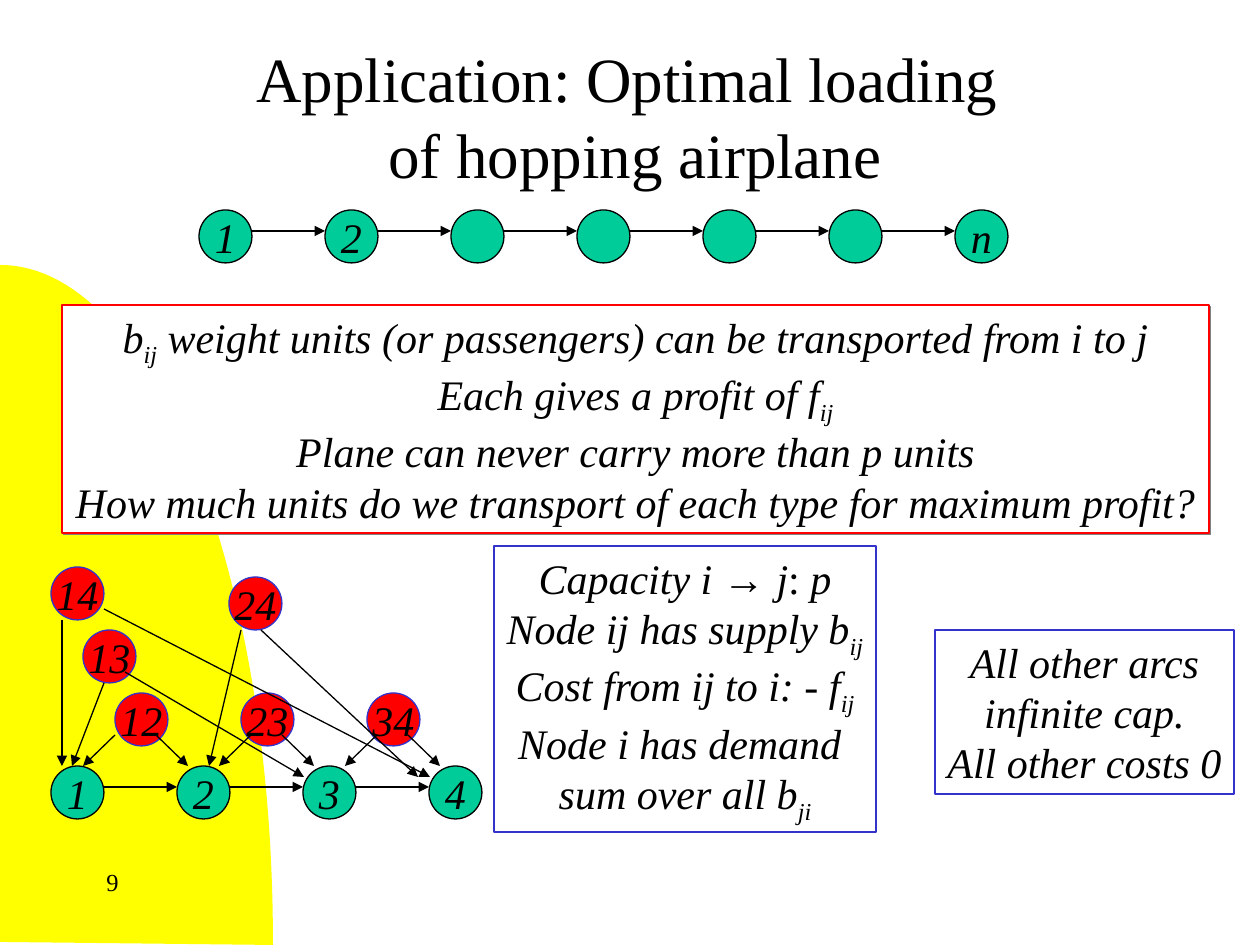
"""Build the slide on optimal loading of a hopping airplane as a flow network."""
from typing import NamedTuple

from lxml import etree
from pptx import Presentation
from pptx.dml.color import RGBColor
from pptx.enum.shapes import MSO_CONNECTOR, MSO_SHAPE
from pptx.enum.text import MSO_ANCHOR, MSO_AUTO_SIZE, PP_ALIGN
from pptx.oxml.ns import qn
from pptx.util import Pt

PX = 914400 / 126
OVAL, RECT = MSO_SHAPE.OVAL, MSO_SHAPE.RECTANGLE
STRAIGHT = MSO_CONNECTOR.STRAIGHT
CENTER, LEFT = PP_ALIGN.CENTER, PP_ALIGN.LEFT
TOP, MIDDLE = MSO_ANCHOR.TOP, MSO_ANCHOR.MIDDLE
FIT = MSO_AUTO_SIZE.SHAPE_TO_FIT_TEXT
COLORS = {"ink": "000000", "stop": "00CC99", "pair": "FF0000", "blue": "3333CC",
          "red": "FF0000", "paper": "FFFFFF", "blob": "FFFF00", "shade": "808080"}
NODE, STEP = 53, 126


class Run(NamedTuple):
    text: str
    italic: bool = True
    sub: bool = False
    font: str = "Times New Roman"


class Node(NamedTuple):
    label: str
    x: int
    y: int
    fill: str = "stop"
    line: str = "ink"


class Arrow(NamedTuple):
    x1: int
    y1: int
    x2: int
    y2: int


class Box(NamedTuple):
    x: int
    y: int
    w: int
    h: int
    line: str
    paras: list[list[Run]]
    shadow: bool = False


def emu(*px: int) -> list[int]:
    return [round(v * PX) for v in px]


def rgb(name: str) -> RGBColor:
    return RGBColor.from_string(COLORS[name])


def add_text(tf, paras: list[list[Run]], *, size: int = 24, align=CENTER,
             anchor=TOP, wrap: bool = False) -> None:
    tf.word_wrap = wrap
    tf.vertical_anchor = anchor
    for i, runs in enumerate(paras):
        p = tf.paragraphs[0] if i == 0 else tf.add_paragraph()
        p.alignment = align
        for run in runs:
            for j, line in enumerate(run.text.split("\n")):
                if j:
                    p.add_line_break()
                r = p.add_run()
                r.text = line
                r.font.size, r.font.name = Pt(size), run.font
                r.font.italic = run.italic
                r.font.color.rgb = rgb("ink")
                if run.sub:
                    r._r.get_or_add_rPr().set("baseline", "-25000")


def add_shape(s, kind, x: int, y: int, w: int, h: int, fill: str, line: str):
    sp = s.shapes.add_shape(kind, *emu(x, y, w, h))
    sp.shadow.inherit = False
    sp.fill.solid()
    sp.fill.fore_color.rgb = rgb(fill)
    sp.line.color.rgb = rgb(line)
    sp.line.width = Pt(0.75)
    return sp


def add_node(s, node: Node) -> None:
    sp = add_shape(s, OVAL, node.x, node.y, NODE, NODE, node.fill, node.line)
    if node.label:
        add_text(sp.text_frame, [[Run(node.label)]], anchor=MIDDLE)


def add_arrow(s, arrow: Arrow) -> None:
    cx = s.shapes.add_connector(STRAIGHT, *emu(*arrow))
    cx.line.color.rgb = rgb("ink")
    cx.line.width = Pt(0.75)
    etree.SubElement(cx.line._get_or_add_ln(), qn("a:tailEnd"), type="triangle")
    etree.SubElement(cx._element.spPr, qn("a:effectLst"))


def add_chain(s, labels: list[str], x: int, y: int, drop: int) -> None:
    for i, label in enumerate(labels):
        left = x + i * STEP
        add_node(s, Node(label, left, y))
        if i < len(labels) - 1:
            add_arrow(s, Arrow(left + NODE, y + drop, left + STEP, y + drop))


def add_box(s, box: Box) -> None:
    sp = add_shape(s, RECT, box.x, box.y, box.w, box.h, "paper", box.line)
    if box.shadow:
        effects = sp._element.spPr.find(qn("a:effectLst"))
        shade = etree.SubElement(effects, qn("a:outerShdw"), blurRad="0", dist="17780",
                                 dir="2700000", algn="ctr", rotWithShape="0")
        etree.SubElement(shade, qn("a:srgbClr"), val=COLORS["shade"])
    add_text(sp.text_frame, box.paras)
    sp.text_frame.auto_size = FIT


def add_label(s, x: int, y: int, w: int, h: int, text: str, **fmt) -> None:
    sp = s.shapes.add_textbox(*emu(x, y, w, h))
    add_text(sp.text_frame, [[Run(text, italic=False)]], wrap=True, **fmt)


def add_blob(s, steps: int = 60) -> None:
    (x0, y0), (x1, y1), (x2, y2), (x3, y3) = (0, 265), (151, 265), (273, 568), (273, 942)
    points = []
    for i in range(1, steps + 1):
        t = i / steps
        a, b, c, d = (1 - t) ** 3, 3 * t * (1 - t) ** 2, 3 * t * t * (1 - t), t ** 3
        points.append((round((a * x0 + b * x1 + c * x2 + d * x3) * PX),
                       round((a * y0 + b * y1 + c * y2 + d * y3) * PX)))
    points += [tuple(emu(273, 945)), tuple(emu(0, 942))]
    fb = s.shapes.build_freeform(*emu(x0, y0))
    fb.add_line_segments(points, close=True)
    sp = fb.convert_to_shape()
    sp.shadow.inherit = False
    sp.fill.solid()
    sp.fill.fore_color.rgb = rgb("blob")
    sp.line.fill.background()


IJ = Run("ij", sub=True)
PROBLEM = Box(62, 305, 1147, 228, "red", [
    [Run("b"), IJ, Run(" weight units (or passengers) can be transported from i to j")],
    [Run("Each gives a profit of f"), IJ],
    [Run("Plane can never carry more than p units")],
    [Run("How much units do we transport of each type for maximum profit?")],
], shadow=True)
MODEL = Box(494, 546, 382, 286, "blue", [
    [Run("Capacity i "), Run("→ ", italic=False, font="Arial"), Run("j"),
     Run(": ", italic=False), Run("p")],
    [Run("Node ij has supply b"), IJ],
    [Run("Cost from ij to i: - f"), IJ],
    [Run("Node i has demand \nsum over all b"), Run("ji", sub=True)],
])
REST = Box(935, 630, 299, 164, "blue", [
    [Run("All other arcs")], [Run("infinite cap.")], [Run("All other costs 0")],
])
PAIRS = [("12", 115, 693), ("23", 241, 693), ("34", 367, 693),
         ("13", 83, 630), ("14", 51, 567), ("24", 229, 577)]
NEAR_ARCS = [Arrow(x, 735, x - 32, 766) for x in (115, 251, 377)] + [
    Arrow(156 + i * STEP, 735, 188 + i * STEP, 766) for i in range(3)]
FAR_ARCS = [Arrow(104, 683, 72, 766), Arrow(125, 672, 304, 777),
            Arrow(104, 609, 430, 777), Arrow(261, 630, 418, 777),
            Arrow(241, 630, 209, 766), Arrow(62, 620, 62, 766)]


def main() -> None:
    prs = Presentation()
    prs.slide_width, prs.slide_height = emu(1260, 945)
    s = prs.slides.add_slide(prs.slide_layouts[6])
    add_blob(s)
    add_label(s, 94, 861, 262, 63, "9", size=14, align=LEFT)
    add_label(s, 63, 84, 1144, 63, "Application: Optimal loading \nof hopping airplane",
              size=36, anchor=MIDDLE)
    add_chain(s, ["1", "2", "", "", "", "", "n"], 199, 210, 21)
    add_box(s, PROBLEM)
    add_chain(s, ["1", "2", "3", "4"], 51, 766, 21)
    for label, x, y in PAIRS:
        add_node(s, Node(label, x, y, "pair", "blue"))
    for arrow in NEAR_ARCS + FAR_ARCS:
        add_arrow(s, arrow)
    add_box(s, MODEL)
    add_box(s, REST)
    prs.save("out.pptx")


if __name__ == "__main__":
    main()
